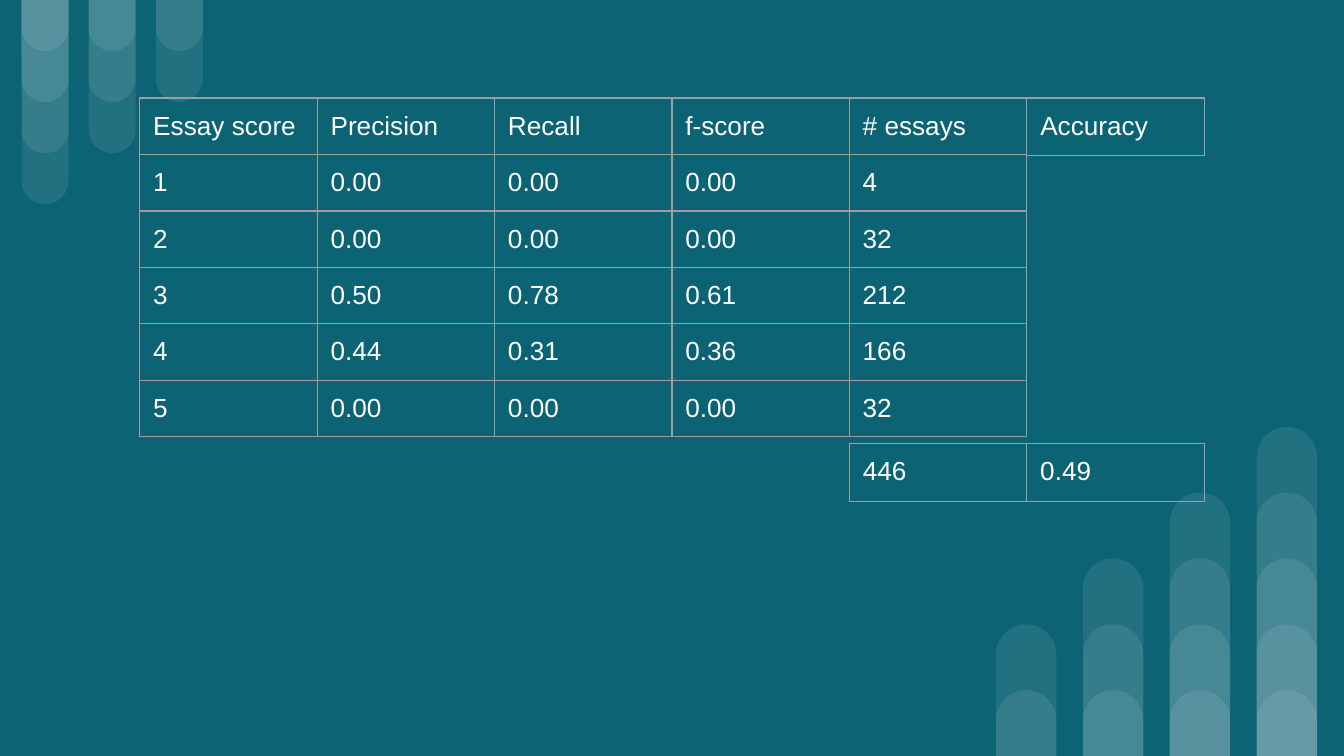
from dataclasses import dataclass

from lxml import etree
from pptx import Presentation
from pptx import util as u
from pptx.dml import color
from pptx.enum import shapes, text
from pptx.oxml import ns

SLIDE_W = 10
SLIDE_H = SLIDE_W * 9 / 16
COL_W = 1.32
TEAL, WHITE, GRAY = "0B6374", "FFFFFF", "9E9E9E"
BAR_OPACITY = 9
BORDER_PT = 0.75
FONT = {"name": "Arial", "size": u.Pt(14), "bold": False}
CELL = {
    "margin_left": u.Inches(0.1),
    "margin_right": u.Inches(0.1),
    "margin_top": u.Inches(0.1),
    "margin_bottom": u.Inches(0.1),
    "vertical_anchor": text.MSO_ANCHOR.TOP,
}
TABLE = {"first_row": False, "horz_banding": False}


@dataclass
class BarGroup:
    first_x: float
    last_x: float
    width: float
    levels: list[int]
    step: float
    hanging: bool


@dataclass
class Grid:
    left: float
    top: float
    row_h: float
    rows: list[list[str]]


BAR_GROUPS = [
    BarGroup(1.16, 0.16, 0.35, [2, 3, 4], 0.38, True),
    BarGroup(7.41, 9.35, 0.45, [2, 3, 4, 5], 0.49, False),
]

GRIDS = [
    Grid(1.04, 0.73, 0.42, [
        ["Essay score", "Precision", "Recall", "f-score", "# essays"],
        ["1", "0.00", "0.00", "0.00", "4"],
        ["2", "0.00", "0.00", "0.00", "32"],
        ["3", "0.50", "0.78", "0.61", "212"],
        ["4", "0.44", "0.31", "0.36", "166"],
        ["5", "0.00", "0.00", "0.00", "32"],
    ]),
    Grid(6.32, 3.3, 0.43, [["446", "0.49"]]),
    Grid(7.64, 0.73, 0.43, [["Accuracy"]]),
]


def rgb(value: str) -> color.RGBColor:
    return color.RGBColor.from_string(value)


def apply(target: object, values: dict) -> None:
    for name, value in values.items():
        setattr(target, name, value)


def add_bar(s, x: float, width: float, height: float, hanging: bool) -> None:
    top = 0 if hanging else SLIDE_H - height
    sp = s.shapes.add_shape(
        shapes.MSO_SHAPE.ROUND_2_SAME_RECTANGLE,
        u.Inches(x), u.Inches(top), u.Inches(width), u.Inches(height))
    sp.adjustments[0], sp.adjustments[1] = 0.5, 0
    sp.rotation = 180 if hanging else 0
    sp.shadow.inherit = False
    sp.line.fill.background()
    sp.fill.solid()
    sp.fill.fore_color.rgb = rgb(WHITE)
    clr = sp.element.spPr.find(".//" + ns.qn("a:srgbClr"))
    etree.SubElement(clr, ns.qn("a:alpha"), val=str(BAR_OPACITY * 1000))


def add_bars(s, group: BarGroup) -> None:
    gap = (group.last_x - group.first_x) / (len(group.levels) - 1)
    for i, count in enumerate(group.levels):
        for level in range(count, 0, -1):
            add_bar(s, group.first_x + i * gap, group.width,
                    level * group.step, group.hanging)


def add_borders(cell) -> None:
    tc_pr = cell._tc.get_or_add_tcPr()
    for i, side in enumerate(("lnL", "lnR", "lnT", "lnB")):
        ln = etree.Element(ns.qn(f"a:{side}"), w=str(u.Pt(BORDER_PT)))
        fill = etree.SubElement(ln, ns.qn("a:solidFill"))
        etree.SubElement(fill, ns.qn("a:srgbClr"), val=GRAY)
        tc_pr.insert(i, ln)


def fill_cell(cell, value: str) -> None:
    apply(cell, CELL)
    cell.fill.background()
    add_borders(cell)
    p = cell.text_frame.paragraphs[0]
    r = p.add_run()
    r.text = value
    apply(r.font, FONT)
    r.font.color.rgb = rgb(WHITE)


def add_grid(s, grid: Grid) -> None:
    n_rows, n_cols = len(grid.rows), len(grid.rows[0])
    tbl = s.shapes.add_table(
        n_rows, n_cols, u.Inches(grid.left), u.Inches(grid.top),
        u.Inches(n_cols * COL_W), u.Inches(n_rows * grid.row_h)).table
    apply(tbl, TABLE)
    for col in tbl.columns:
        col.width = u.Inches(COL_W)
    for row, values in zip(tbl.rows, grid.rows):
        row.height = u.Inches(grid.row_h)
        for cell, value in zip(row.cells, values):
            fill_cell(cell, value)


def main() -> None:
    prs = Presentation()
    prs.slide_width, prs.slide_height = u.Inches(SLIDE_W), u.Inches(SLIDE_H)
    s = prs.slides.add_slide(prs.slide_layouts[6])
    s.background.fill.solid()
    s.background.fill.fore_color.rgb = rgb(TEAL)
    for group in BAR_GROUPS:
        add_bars(s, group)
    for grid in GRIDS:
        add_grid(s, grid)
    prs.save("out.pptx")


if __name__ == "__main__":
    main()
